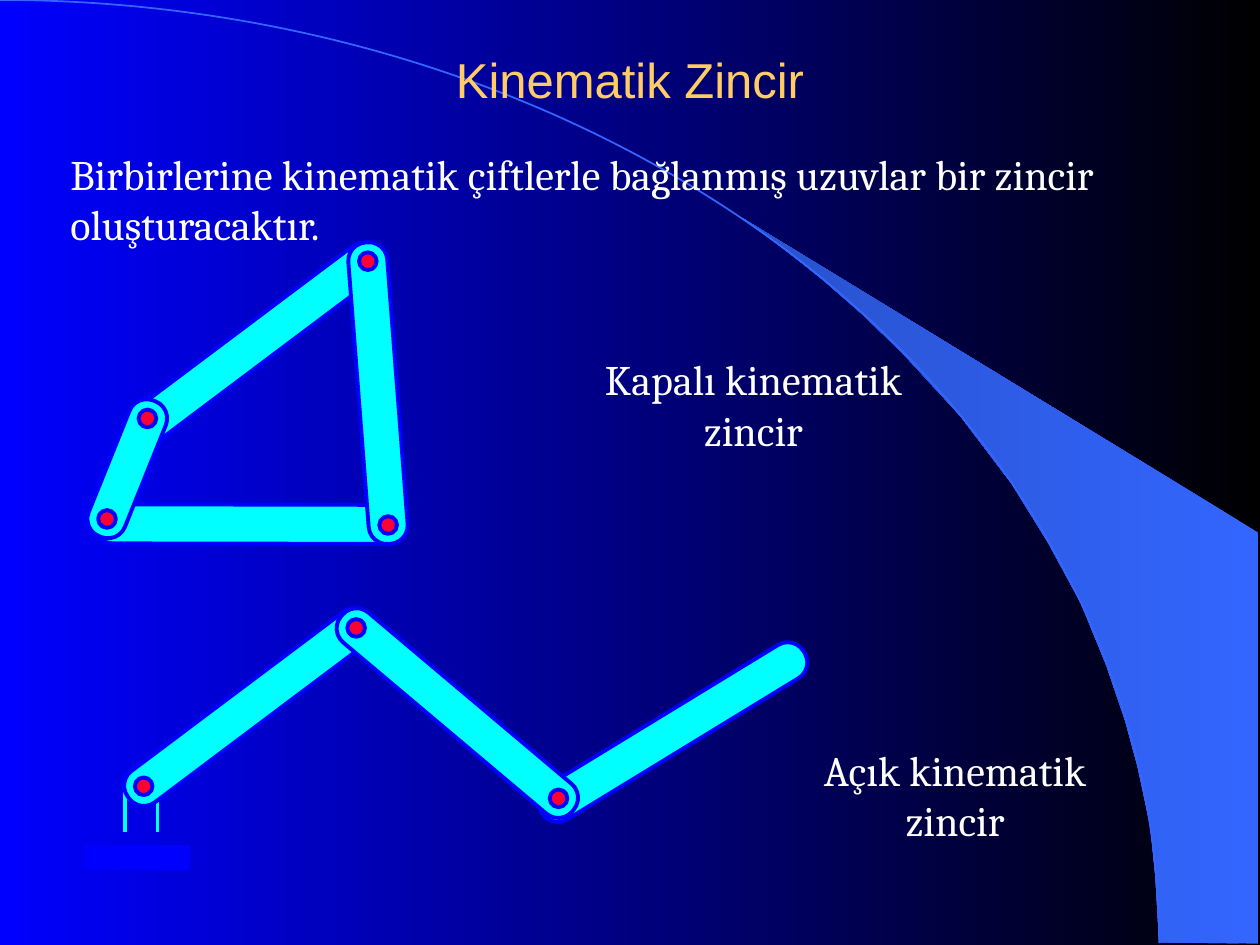
import math
import pptx
from pptx.dml.color import RGBColor
from pptx.enum.shapes import MSO_CONNECTOR, MSO_SHAPE
from pptx.enum.text import MSO_ANCHOR, PP_ALIGN
from pptx.oxml.ns import qn
from pptx.util import Inches, Pt
import lxml.etree

BLACK = RGBColor(0x00, 0x00, 0x00)
BLUE = RGBColor(0x00, 0x00, 0xFF)
SKY = RGBColor(0x33, 0x66, 0xFF)
DUSK = RGBColor(0x28, 0x51, 0xCB)
CYAN = RGBColor(0x00, 0xFF, 0xFF)
RED = RGBColor(0xFF, 0x00, 0x33)
GOLD = RGBColor(0xFF, 0xCC, 0x66)
WHITE = RGBColor(0xFF, 0xFF, 0xFF)

TITLE = "Kinematik Zincir"
# text, box, alignment
NOTES = [
    ("Birbirlerine kinematik çiftlerle bağlanmış uzuvlar bir zincir oluşturacaktır.",
     (0.46, 1.13, 9.08, 0.9), PP_ALIGN.LEFT),
    ("Kapalı kinematik zincir", (4.38, 2.76, 3.2, 0.9), PP_ALIGN.CENTER),
    ("Açık kinematik zincir", (6.08, 5.86, 3.0, 0.9), PP_ALIGN.CENTER),
]

# centre x, centre y, length, angle, ends that carry a pin
CLOSED = [
    (1.97, 4.16, 2.44, 0.1, (-1, 1)),
    (2.05, 2.71, 2.4, 323.1, (-1, 1)),
    (3.0, 3.12, 2.4, 265.6, (-1, 1)),
    (1.01, 3.72, 1.16, 291.9, (-1, 1)),
]
OPEN = [
    (5.34, 5.81, 2.44, 328.6, (-1,)),
    (1.98, 5.61, 2.4, 323.1, (-1, 1)),
    (3.63, 5.66, 2.4, 40.1, (-1, 1)),
]
BAR, PIN, INSET = 0.31, 0.14, 0.15

# support: legs, axes and hatching as x1, y1, x2, y2
STROKES = [
    (0.99, 6.24, 0.99, 6.6), (1.25, 6.23, 1.25, 6.6),
    (1.12, 6.13, 1.12, 6.38), (1, 6.26, 1.27, 6.26),
    (1.01, 6.25, 1.06, 6.13), (1.03, 6.24, 1.1, 6.13),
    (1.04, 6.25, 1.11, 6.15), (1.07, 6.25, 1.11, 6.19),
    (1.09, 6.25, 1.12, 6.23), (1.1, 6.13, 1.1, 6.25),
    (1, 6.24, 1.11, 6.24), (1.15, 6.27, 1.14, 6.37),
    (1.16, 6.27, 1.16, 6.37), (1.18, 6.26, 1.18, 6.35),
    (1.2, 6.26, 1.2, 6.35), (1.23, 6.25, 1.21, 6.32),
]
BLADE = [
    (9.2, 7.48), (9.99, 7.49), (9.99, 4.23), (5.89, 1.73), (6.24, 1.99),
    (6.53, 2.22), (6.85, 2.5), (7.16, 2.8), (7.62, 3.3), (8.03, 3.84),
    (8.32, 4.31), (8.58, 4.79), (8.78, 5.28), (8.93, 5.72), (9.03, 6.09),
    (9.13, 6.56), (9.17, 6.96),
]


def blend(fill, first, last):
    fill.gradient()
    fill.gradient_angle = 180
    for stop, tone in zip(fill.gradient_stops, (first, last)):
        stop.color.rgb = tone


def draw(shapes, kind, box, fill=None, line=BLUE, width=2.25, turn=0):
    shape = shapes.add_shape(kind, *map(Inches, box))
    shape.shadow.inherit = False
    shape.rotation = turn
    if fill is None:
        shape.fill.background()
    else:
        shape.fill.solid()
        shape.fill.fore_color.rgb = fill
    shape.line.color.rgb = line
    shape.line.width = Pt(width)
    return shape


def stroke(shapes, ends):
    line = shapes.add_connector(MSO_CONNECTOR.STRAIGHT, *map(Inches, ends))
    line.line.color.rgb = CYAN
    line.line.width = Pt(2.25)
    lxml.etree.SubElement(line._element.spPr, qn("a:effectLst"))


def write(shape, text, size=24, font="Cambria", color=WHITE,
          align=PP_ALIGN.LEFT, anchor=MSO_ANCHOR.TOP):
    frame = shape.text_frame
    frame.word_wrap = True
    frame.vertical_anchor = anchor
    para = frame.paragraphs[0]
    para.alignment = align
    run = para.add_run()
    run.text = text
    run.font.size = Pt(size)
    run.font.name = font
    run.font.color.rgb = color


def link(shapes, x, y, length, angle, ends):
    """Group a turned bar with the pins near its ends."""
    group = shapes.add_group_shape().shapes
    bar = draw(group, MSO_SHAPE.ROUNDED_RECTANGLE,
               (x - length / 2, y - BAR / 2, length, BAR), CYAN, turn=angle)
    bar.adjustments[0] = 0.47
    reach = length / 2 - INSET
    for end in ends:
        px = x + end * reach * math.cos(math.radians(angle))
        py = y + end * reach * math.sin(math.radians(angle))
        draw(group, MSO_SHAPE.OVAL, (px - PIN / 2, py - PIN / 2, PIN, PIN), RED)


def scene(shapes):
    """Draw the blade and the arc behind the content."""
    pen = shapes.build_freeform(*map(Inches, BLADE[0]))
    pen.add_line_segments([tuple(map(Inches, spot)) for spot in BLADE[1:]])
    blade = pen.convert_to_shape()
    blade.shadow.inherit = False
    blend(blade.fill, SKY, DUSK)
    blade.line.fill.background()
    draw(shapes, MSO_SHAPE.ARC, (-9.2, 0, 18.4, 14.97), line=SKY, width=1)


def stand(shapes):
    group = shapes.add_group_shape().shapes
    draw(group, MSO_SHAPE.RECTANGLE, (0.68, 6.72, 0.81, 0.17), BLUE)
    draw(group, MSO_SHAPE.OVAL, (0.99, 6.12, 0.26, 0.26), line=CYAN)
    for ends in STROKES:
        stroke(group, ends)


def main():
    deck = pptx.Presentation()
    deck.slide_width, deck.slide_height = Inches(10), Inches(7.5)
    slide = deck.slides.add_slide(deck.slide_layouts[5])
    shapes = slide.shapes
    blend(slide.background.fill, BLACK, BLUE)
    scene(shapes)
    stand(shapes)

    title = shapes.title
    title.left, title.top, title.width, title.height = map(
        Inches, (0.75, 0, 8.5, 1.25))
    write(title, TITLE, size=28, font="Arial", color=GOLD,
          align=PP_ALIGN.CENTER, anchor=MSO_ANCHOR.MIDDLE)
    shapes._spTree.append(title._element)  # bring in front of the scene

    for part in CLOSED + OPEN:
        link(shapes, *part)
    for text, box, align in NOTES:
        write(shapes.add_textbox(*map(Inches, box)), text, align=align)
    deck.save("out.pptx")


if __name__ == "__main__":
    main()
